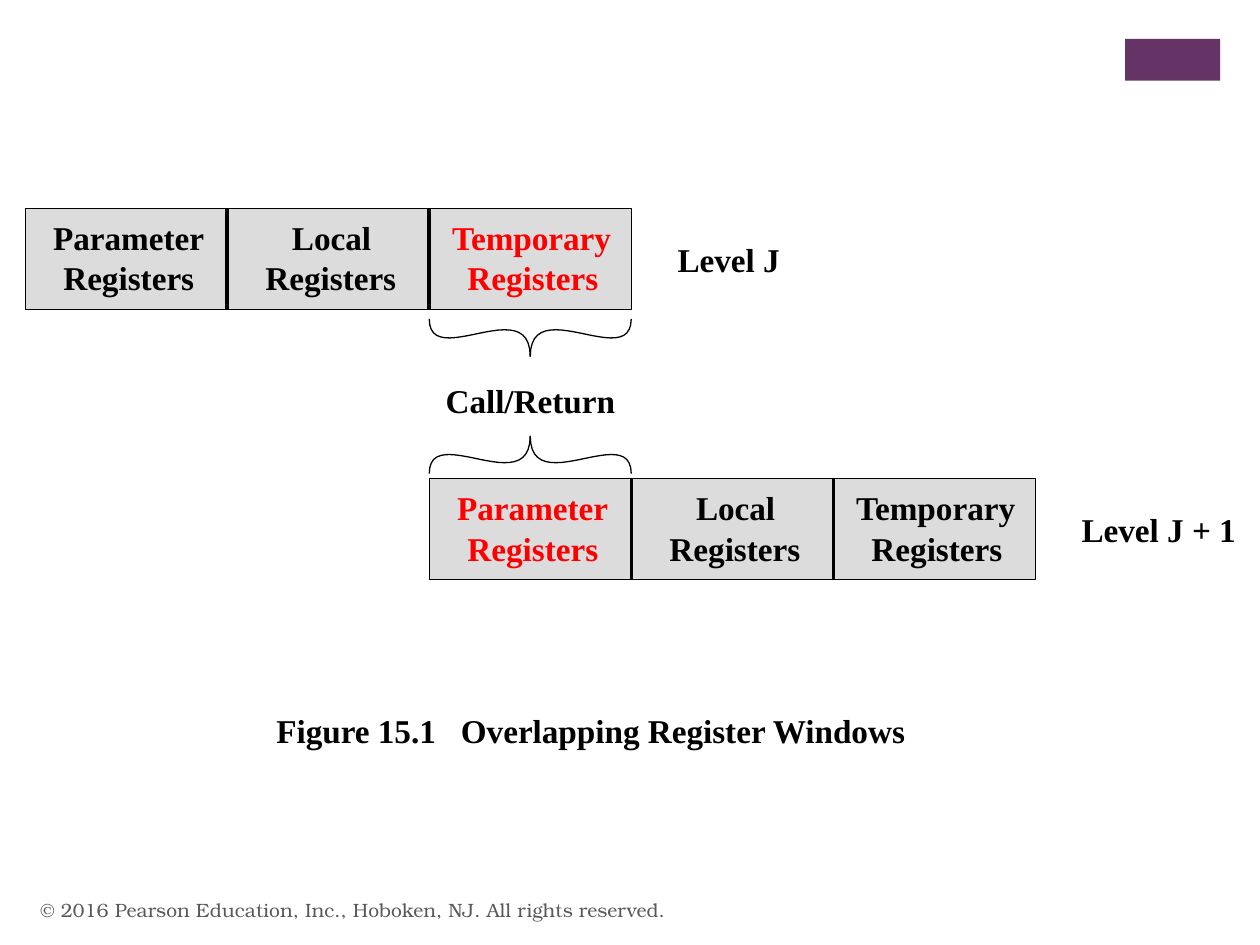
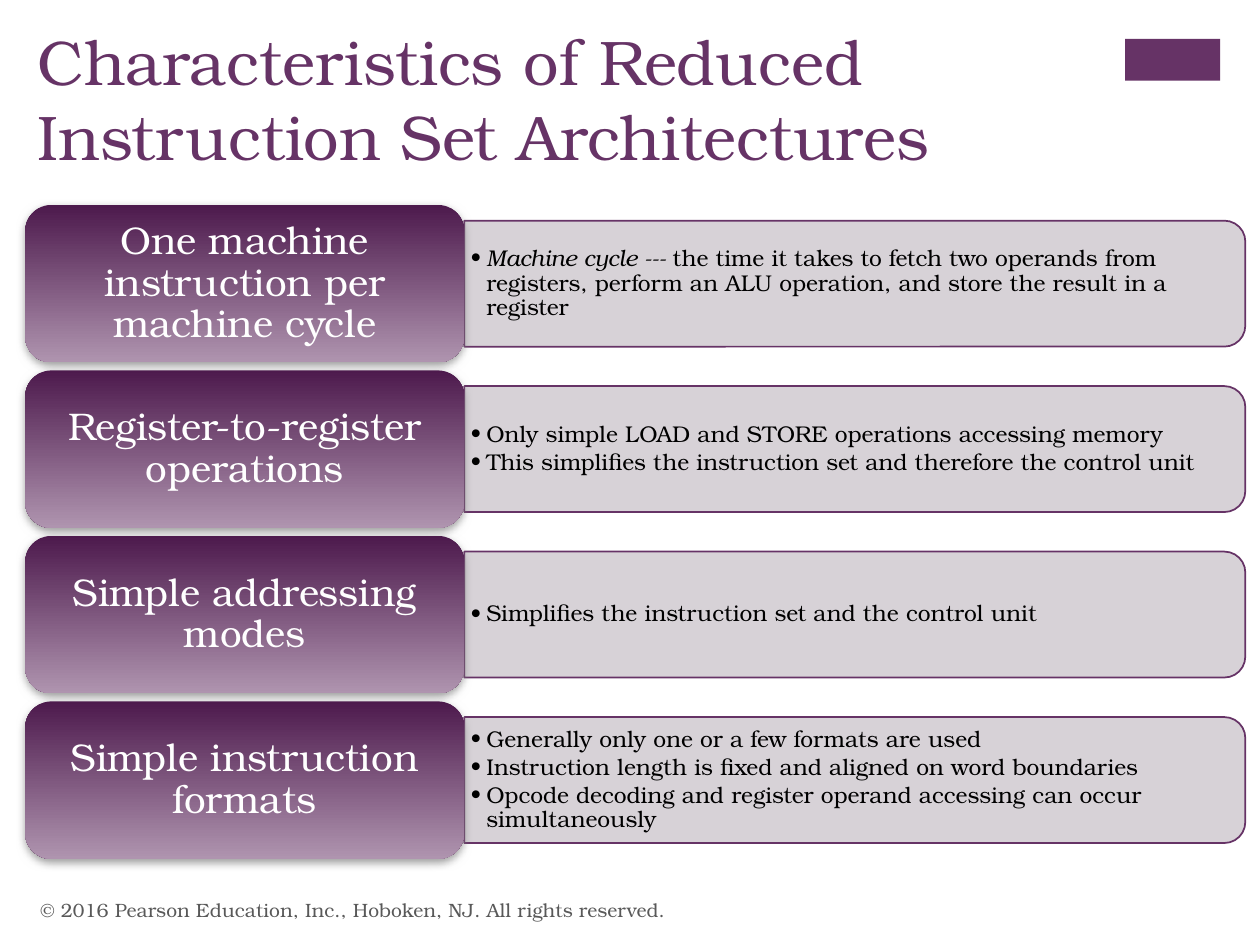
"""Build two slides on register windows and reduced instruction set architectures."""
from dataclasses import dataclass
from typing import NamedTuple

from lxml import etree
from pptx import Presentation
from pptx import util as u
from pptx.dml.color import RGBColor
from pptx.enum import shapes, text
from pptx.oxml import ns

Pt = u.Pt
COLORS = {
    "purple": "663366", "deep": "4D1A4D", "pale": "AF94AF", "panel": "D3CED3",
    "cell": "DCDCDC", "shadow": "808080", "footer": "595959",
    "black": "000000", "red": "FF0000", "white": "FFFFFF",
}
SERIF, BOOK = "Times New Roman", "TeX Gyre Bonum"
CELL_W, CELL_H = 115.45, 57.6
PILL_LEFT, PILL_TOP, PILL_W, PILL_H, PILL_PITCH = 14.4, 117.1, 250.9, 90, 94.56
PANEL_W, PANEL_H = 446.3, 72


class Span(NamedTuple):
    text: str
    italic: bool = False


class Cell(NamedTuple):
    kind: str
    color: str = "black"


class WordPlace(NamedTuple):
    indent: float
    width: float


@dataclass
class RegisterRow:
    level: str
    left: float
    top: float
    cells: list[Cell]


@dataclass
class Characteristic:
    name: str
    points: list[list[Span]]


WORD_PLACES = {
    "Parameter": WordPlace(15.9, 99), "Local": WordPlace(37, 56),
    "Temporary": WordPlace(13, 106), "Registers": WordPlace(21.8, 87),
}
ROWS = [
    RegisterRow("Level J", 14.4, 119.2,
                [Cell("Parameter"), Cell("Local"), Cell("Temporary", "red")]),
    RegisterRow("Level J + 1", 14.4 + 2 * CELL_W, 273.5,
                [Cell("Parameter", "red"), Cell("Local"), Cell("Temporary")]),
]
CHARACTERISTICS = [
    Characteristic("One machine instruction per machine cycle", [
        [Span("Machine cycle --- ", True),
         Span("the time it takes to fetch two operands from registers, "
              "perform an ALU operation, and store the result in a register")]]),
    Characteristic("Register-to-register operations", [
        [Span("Only simple LOAD and STORE operations accessing memory")],
        [Span("This simplifies the instruction set and therefore the control unit")]]),
    Characteristic("Simple addressing modes", [
        [Span("Simplifies the instruction set and the control unit")]]),
    Characteristic("Simple instruction formats", [
        [Span("Generally only one or a few formats are used")],
        [Span("Instruction length is fixed and aligned on word boundaries")],
        [Span("Opcode decoding and register operand accessing can occur simultaneously")]]),
]


def rgb(name: str) -> RGBColor:
    """Return a palette colour."""
    return RGBColor.from_string(COLORS[name])


def add_node(parent, tag: str, **attributes):
    """Append a DrawingML element."""
    return etree.SubElement(parent, ns.qn(f"a:{tag}"),
                            {key: str(value) for key, value in attributes.items()})


def write_text(shape, lines: list[list[Span]], *, size: float, color: str = "black",
               font: str = BOOK, bold: bool = False, align: str = "LEFT",
               anchor: str = "TOP", insets: tuple = (0, 0, 0, 0), wrap: bool = True,
               spacing=None, after: float = 0, bullet: bool = False, tab: float = 0) -> None:
    """Fill a shape with formatted paragraphs."""
    frame = shape.text_frame
    frame.word_wrap = wrap
    frame.vertical_anchor = text.MSO_ANCHOR[anchor]
    (frame.margin_left, frame.margin_top,
     frame.margin_right, frame.margin_bottom) = map(Pt, insets)
    for number, spans in enumerate(lines):
        para = frame.add_paragraph() if number else frame.paragraphs[0]
        para.alignment = text.PP_ALIGN[align]
        props = para._p.get_or_add_pPr()
        if bullet:
            para.level = 1
            props.set("marL", str(Pt(9)))
            props.set("indent", str(Pt(-9)))
            add_node(props, "buFont", typeface=font)
            add_node(props, "buChar", char="•")
        if tab:
            add_node(add_node(props, "tabLst"), "tab", pos=Pt(tab), algn="l")
        if spacing:
            para.line_spacing = spacing
        if after:
            para.space_after = Pt(after)
        for span in spans:
            run = para.add_run()
            run.text = span.text
            run.font.name, run.font.size = font, Pt(size)
            run.font.bold, run.font.italic = bold, span.italic
            run.font.color.rgb = rgb(color)


def add_label(page, left: float, top: float, width: float, height: float,
              words: str, **style) -> None:
    """Add a one-paragraph text box."""
    box = page.shapes.add_textbox(Pt(left), Pt(top), Pt(width), Pt(height))
    write_text(box, [[Span(words)]], **style)


def add_figure_label(page, left: float, top: float, width: float, words: str,
                     **style) -> None:
    """Add a bold serif label of the figure."""
    add_label(page, left, top, width, 27, words, size=19, font=SERIF, bold=True,
              wrap=False, **style)


def add_block(page, kind: str, left: float, top: float, width: float, height: float,
              fill: str, line: str | None = None, line_width: float = 0):
    """Add a flat preset shape."""
    shape = page.shapes.add_shape(shapes.MSO_SHAPE[kind], Pt(left), Pt(top),
                                  Pt(width), Pt(height))
    shape.shadow.inherit = False
    shape.fill.solid()
    shape.fill.fore_color.rgb = rgb(fill)
    if line:
        shape.line.color.rgb = rgb(line)
        shape.line.width = Pt(line_width)
    else:
        shape.line.fill.background()
    return shape


def add_page(deck):
    """Add a page with the corner band and the footer."""
    page = deck.slides.add_slide(deck.slide_layouts[6])
    add_block(page, "RECTANGLE", 643, 22.3, 54.2, 23.8, "purple")
    add_label(page, 16, 505.4, 482.4, 28.8,
              "© 2016 Pearson Education, Inc., Hoboken, NJ. All rights reserved.",
              size=11, color="footer", anchor="MIDDLE", insets=(7.2, 3.6, 7.2, 3.6))
    return page


def add_divider(page, x: float, top: float) -> None:
    """Draw a line between two register cells."""
    line = page.shapes.add_connector(shapes.MSO_CONNECTOR.STRAIGHT, Pt(x), Pt(top),
                                     Pt(x), Pt(top + CELL_H))
    line.line.color.rgb = rgb("black")
    line.line.width = Pt(0)
    add_node(line._element.spPr, "effectLst")


def add_register_row(page, row: RegisterRow) -> None:
    """Draw a row of register cells with its level."""
    width = len(row.cells) * CELL_W
    add_block(page, "RECTANGLE", row.left, row.top, width, CELL_H, "cell", "black")
    for index, cell in enumerate(row.cells):
        left = row.left + index * CELL_W
        if index:
            add_divider(page, left, row.top)
        for word, drop in ((cell.kind, 4.9), ("Registers", 28.1)):
            place = WORD_PLACES[word]
            add_figure_label(page, left + place.indent, row.top + drop, place.width,
                             word, color=cell.color)
    add_figure_label(page, row.left + width + 26.4, row.top + 17.5, 101, row.level)


def add_brace(page, center: float, tip: float, direction: int) -> None:
    """Draw both halves of a curly brace that opens up (-1) or down (1)."""
    steps = 24
    for side in (-1, 1):
        points = []
        for step in range(steps + 1):
            t = step / steps
            s = 1 - t
            across = CELL_W / 2 * (3 * s * t * t + t ** 3)
            along = 36.9 * 3 * s * s * t - 8.4 * 3 * s * t * t + 21.6 * t ** 3
            points.append((Pt(center + side * across), Pt(tip + direction * along)))
        builder = page.shapes.build_freeform(*points[0])
        builder.add_line_segments(points[1:], close=False)
        half = builder.convert_to_shape()
        half.shadow.inherit = False
        half.fill.background()
        half.line.color.rgb = rgb("black")
        half.line.width = Pt(0)


def add_characteristic(page, item: Characteristic, top: float) -> None:
    """Draw a name pill with its panel of points."""
    left, middle = PILL_LEFT + PILL_W, top + PILL_H / 2
    panel = add_block(page, "ROUND_2_SAME_RECTANGLE", left + (PANEL_W - PANEL_H) / 2,
                      middle - PANEL_W / 2, PANEL_H, PANEL_W, "panel", "purple", 1)
    panel.rotation = 90
    add_node(panel.fill._xPr.find(ns.qn("a:solidFill"))[0], "alpha", val=90000)
    box = page.shapes.add_textbox(Pt(left), Pt(middle - 32.4), Pt(443), Pt(64.8))
    write_text(box, item.points, size=13, anchor="MIDDLE", insets=(3.6, 2.2, 3.6, 2.2),
               spacing=0.9, after=1.95, bullet=True)

    pill = add_block(page, "ROUNDED_RECTANGLE", PILL_LEFT, top, PILL_W, PILL_H, "deep")
    pill.fill.gradient()
    pill.fill.gradient_angle = 270
    for stop, name in zip(pill.fill.gradient_stops, ("deep", "pale")):
        stop.color.rgb = rgb(name)
    effects = pill._element.spPr.find(ns.qn("a:effectLst"))
    shadow = add_node(effects, "outerShdw", blurRad=Pt(5), dist=Pt(2), dir=5400000,
                      rotWithShape=0)
    add_node(add_node(shadow, "srgbClr", val=COLORS["shadow"]), "alpha", val=75000)
    write_text(pill, [[Span(item.name)]], size=22, color="white", align="CENTER",
               anchor="MIDDLE", insets=(6.5, 3.6, 6.5, 3.6), spacing=0.9)


def build_windows(deck) -> None:
    """Build the register window figure."""
    page = add_page(deck)
    for row in ROWS:
        add_register_row(page, row)
    left = ROWS[1].left
    center = left + CELL_W / 2
    add_brace(page, center, 203.8, -1)
    add_brace(page, center, 249.1, 1)
    add_figure_label(page, left, 217.4, CELL_W, "Call/Return", align="CENTER")
    add_figure_label(page, 157.9, 406.1, 389, "Figure 15.1\tOverlapping Register Windows",
                     tab=105.5)


def build_characteristics(deck) -> None:
    """Build the list of characteristics."""
    page = add_page(deck)
    add_label(page, 14.4, 9.2, 594.7, 87.8,
              "Characteristics of Reduced Instruction Set Architectures",
              size=36, color="purple", insets=(7.2, 3.6, 7.2, 3.6))
    for index, item in enumerate(CHARACTERISTICS):
        add_characteristic(page, item, PILL_TOP + index * PILL_PITCH)


def main() -> None:
    """Build and save the deck."""
    deck = Presentation()
    deck.slide_width, deck.slide_height = Pt(720), Pt(540)
    build_windows(deck)
    build_characteristics(deck)
    deck.save("out.pptx")


if __name__ == "__main__":
    main()
